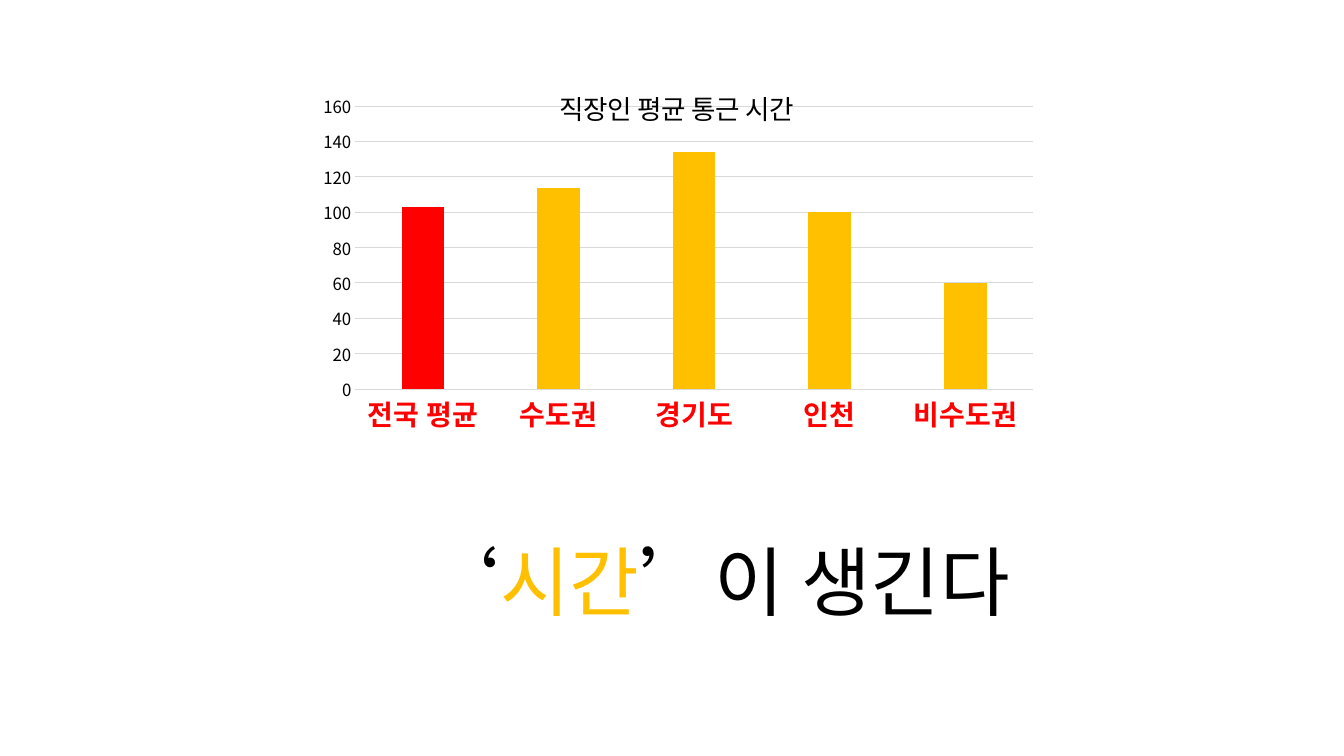
from dataclasses import dataclass

from lxml.etree import SubElement
from pptx import Presentation
from pptx.chart.data import CategoryChartData
from pptx.dml.color import RGBColor
from pptx.enum.chart import XL_CHART_TYPE, XL_TICK_MARK
from pptx.enum.text import MSO_ANCHOR, MSO_AUTO_SIZE, PP_ALIGN
from pptx.oxml.ns import qn
from pptx.util import Emu, Pt

PX = 9071  # EMU in one px


@dataclass(frozen=True)
class Theme:
    font: str = "Noto Sans CJK KR"
    ink: str = "000000"
    amber: str = "FFC000"
    red: str = "FF0000"
    grid: str = "D9D9D9"
    headline: float = 54
    category: float = 20
    chart_title: float = 19
    value: float = 12
    base: float = 10


@dataclass(frozen=True)
class Bar:
    region: str
    minutes: int
    color: str


@dataclass(frozen=True)
class Span:
    text: str
    color: str


T = Theme()
BARS = [
    Bar("전국 평균", 103, T.red),
    Bar("수도권", 114, T.amber),
    Bar("경기도", 134, T.amber),
    Bar("인천", 100, T.amber),
    Bar("비수도권", 60, T.amber),
]
HEADLINE = [Span("‘\t", T.ink), Span("시간", T.amber), Span("’이 생긴다", T.ink)]


def px(n: int) -> Emu:
    return Emu(n * PX)


def style(font, *, size: float, color: str = T.ink, bold: bool = False) -> None:
    font.name, font.size, font.bold = T.font, Pt(size), bold
    font.color.rgb = RGBColor.from_string(color)


def add_text(p, text: str, *, size: float, color: str = T.ink, bold: bool = False) -> None:
    r = p.add_run()
    r.text = text
    style(r.font, size=size, color=color, bold=bold)


def use_east_asian_font(element) -> None:
    for latin in list(element.iter(qn("a:latin"))):
        ea = latin.makeelement(qn("a:ea"), {"typeface": T.font})
        latin.addnext(ea)


def set_layout(parent, index: int, **values) -> None:
    for old in parent.findall(qn("c:layout")):
        parent.remove(old)
    layout = parent.makeelement(qn("c:layout"), {})
    parent.insert(index, layout)
    manual = SubElement(layout, qn("c:manualLayout"))
    for tag, value in values.items():
        SubElement(manual, qn(f"c:{tag}"), val=str(value))


def line_color(line, color: str) -> None:
    line.color.rgb = RGBColor.from_string(color)
    line.width = Pt(0.75)


def add_commute_chart(s) -> None:
    data = CategoryChartData()
    data.categories = [b.region for b in BARS]
    data.add_series("Series 1", [b.minutes for b in BARS])
    chart = s.shapes.add_chart(XL_CHART_TYPE.COLUMN_CLUSTERED,
                               px(298), px(58), px(754), px(386), data).chart
    style(chart.font, size=T.base)
    chart.has_legend = False

    # Chart title
    chart.has_title = True
    p = chart.chart_title.text_frame.paragraphs[0]
    add_text(p, "직장인 평균 통근 시간", size=T.chart_title)

    # Axes
    regions, minutes = chart.category_axis, chart.value_axis
    style(regions.tick_labels.font, size=T.category, color=T.red, bold=True)
    style(minutes.tick_labels.font, size=T.value)
    for axis in (regions, minutes):
        axis.major_tick_mark = axis.minor_tick_mark = XL_TICK_MARK.NONE
    line_color(regions.format.line, T.grid)
    minutes.format.line.fill.background()
    minutes.minimum_scale, minutes.maximum_scale, minutes.major_unit = 0, 160, 20
    line_color(minutes.major_gridlines.format.line, T.grid)

    # Bars
    plot = chart.plots[0]
    plot.gap_width, plot.overlap, plot.vary_by_categories = 219, -27, False
    series = plot.series[0]
    series.format.fill.solid()
    series.format.fill.fore_color.rgb = RGBColor.from_string(T.amber)
    for i, bar in enumerate(BARS):
        if bar.color != T.amber:
            fill = series.points[i].format.fill
            fill.solid()
            fill.fore_color.rgb = RGBColor.from_string(bar.color)

    # Placement of title and plot
    root = chart.element
    set_layout(next(root.iter(qn("c:title"))), 1,
               xMode="edge", yMode="edge", x=0.34, y=0.06)
    set_layout(next(root.iter(qn("c:plotArea"))), 0, layoutTarget="inner",
               xMode="edge", yMode="edge", x=0.076, y=0.125, w=0.899, h=0.733)
    use_east_asian_font(root)


def add_headline(s) -> None:
    sp = s.shapes.title
    sp.left, sp.top, sp.width, sp.height = px(413), px(543), px(673), px(102)
    tf = sp.text_frame
    tf.word_wrap, tf.auto_size = True, MSO_AUTO_SIZE.NONE
    tf.vertical_anchor, tf.margin_top = MSO_ANCHOR.TOP, 0
    p = tf.paragraphs[0]
    p.alignment, p.line_spacing = PP_ALIGN.LEFT, 0.93
    # The tab stop leaves the gap after the opening quote
    tabs = SubElement(p._p.get_or_add_pPr(), qn("a:tabLst"))
    SubElement(tabs, qn("a:tab"), pos=str(px(77)), algn="l")
    for span in HEADLINE:
        add_text(p, span.text, size=T.headline, color=span.color)
    use_east_asian_font(sp.element)


def main() -> None:
    prs = Presentation()
    prs.slide_width, prs.slide_height = px(1344), px(756)
    s = prs.slides.add_slide(prs.slide_layouts[5])
    add_commute_chart(s)
    add_headline(s)
    prs.save("out.pptx")


if __name__ == "__main__":
    main()
